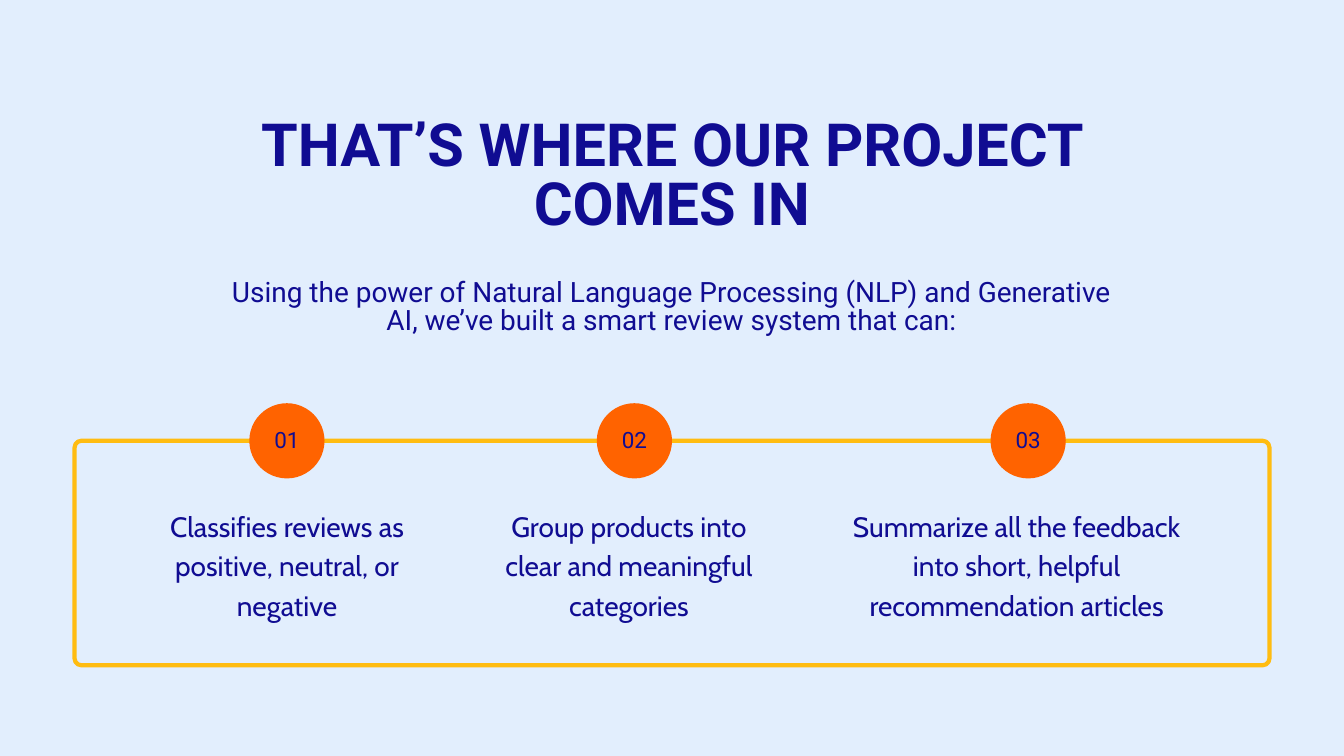
from dataclasses import dataclass

from pptx import Presentation
from pptx.dml.color import RGBColor
from pptx.enum.shapes import MSO_SHAPE
from pptx.enum.text import MSO_ANCHOR, PP_ALIGN
from pptx.util import Pt

ROUNDED = MSO_SHAPE.ROUNDED_RECTANGLE
OVAL = MSO_SHAPE.OVAL
TOP = MSO_ANCHOR.TOP
MIDDLE = MSO_ANCHOR.MIDDLE
CENTER = PP_ALIGN.CENTER

PALE_BLUE = RGBColor(0xE2, 0xEE, 0xFD)
NAVY = RGBColor(0x10, 0x0C, 0x92)
ORANGE = RGBColor(0xFF, 0x63, 0x00)
YELLOW = RGBColor(0xFF, 0xBC, 0x11)

FRAME_TOP = 472.3
BADGE_SIZE = 80.6
STEP_TEXT_TOP = 540


@dataclass(frozen=True)
class Area:
    left: float
    top: float
    width: float
    height: float

    def lengths(self) -> tuple:
        return Pt(self.left), Pt(self.top), Pt(self.width), Pt(self.height)


@dataclass(frozen=True)
class TextStyle:
    font: str
    size: float
    line_height: float
    bold: bool = False
    anchor: MSO_ANCHOR = TOP
    inset: float = 0


@dataclass(frozen=True)
class Step:
    badge_center: float
    text_left: float
    text_width: float
    text: str


TITLE = TextStyle("Roboto", 63.7, 63.7, bold=True)
INTRO = TextStyle("Roboto", 30, 30)
NUMBER = TextStyle("Roboto", 24, 33.6, anchor=MIDDLE, inset=4)
STEP_TEXT = TextStyle("Cabin", 30, 42)

STEPS = [
    Step(307.4, 149.8, 315.4, "Classifies reviews as positive, neutral, or negative"),
    Step(679.7, 516.2, 315.4, "Group products into clear and meaningful categories"),
    Step(1101.6, 894.2, 390.2,
         "Summarize all the feedback into short, helpful recommendation articles"),
]


def add_text(page, area: Area, text: str, style: TextStyle) -> None:
    box = page.shapes.add_textbox(*area.lengths())
    frame = box.text_frame
    frame.word_wrap = True
    frame.vertical_anchor = style.anchor
    frame.margin_left = frame.margin_right = Pt(style.inset)
    frame.margin_top = frame.margin_bottom = Pt(style.inset)
    frame.text = text
    para = frame.paragraphs[0]
    para.alignment = CENTER
    para.line_spacing = Pt(style.line_height)
    span = para.runs[0]
    span.font.name = style.font
    span.font.size = Pt(style.size)
    span.font.bold = style.bold
    span.font.color.rgb = NAVY


def add_frame(page, area: Area) -> None:
    outline = page.shapes.add_shape(ROUNDED, *area.lengths())
    outline.shadow.inherit = False
    outline.adjustments[0] = 0.03
    outline.fill.background()
    outline.line.color.rgb = YELLOW
    outline.line.width = Pt(4.5)


def add_badge(page, center: float, number: int) -> None:
    area = Area(center - BADGE_SIZE / 2, FRAME_TOP - BADGE_SIZE / 2, BADGE_SIZE, BADGE_SIZE)
    circle = page.shapes.add_shape(OVAL, *area.lengths())
    circle.shadow.inherit = False
    circle.fill.solid()
    circle.fill.fore_color.rgb = ORANGE
    circle.line.fill.background()
    add_text(page, Area(center - 32.75, 430.6, 65.5, 74.9), f"{number:02d}", NUMBER)


def add_step(page, number: int, step: Step) -> None:
    add_badge(page, step.badge_center, number)
    add_text(page, Area(step.text_left, STEP_TEXT_TOP, step.text_width, 123.1),
             step.text, STEP_TEXT)


def main() -> None:
    deck = Presentation()
    deck.slide_width = Pt(1440)
    deck.slide_height = Pt(810)
    page = deck.slides.add_slide(deck.slide_layouts[6])
    page.background.fill.solid()
    page.background.fill.fore_color.rgb = PALE_BLUE

    add_text(page, Area(253.4, 127.4, 933.1, 141.8),
             "THAT’S WHERE OUR PROJECT COMES IN", TITLE)
    add_text(page, Area(231.1, 300.2, 977, 68.4),
             "Using the power of Natural Language Processing (NLP) and Generative AI, "
             "we’ve built a smart review system that can:", INTRO)
    add_frame(page, Area(79.9, FRAME_TOP, 1280.2, 240.5))
    for number, step in enumerate(STEPS, start=1):
        add_step(page, number, step)

    deck.save("out.pptx")


if __name__ == "__main__":
    main()
